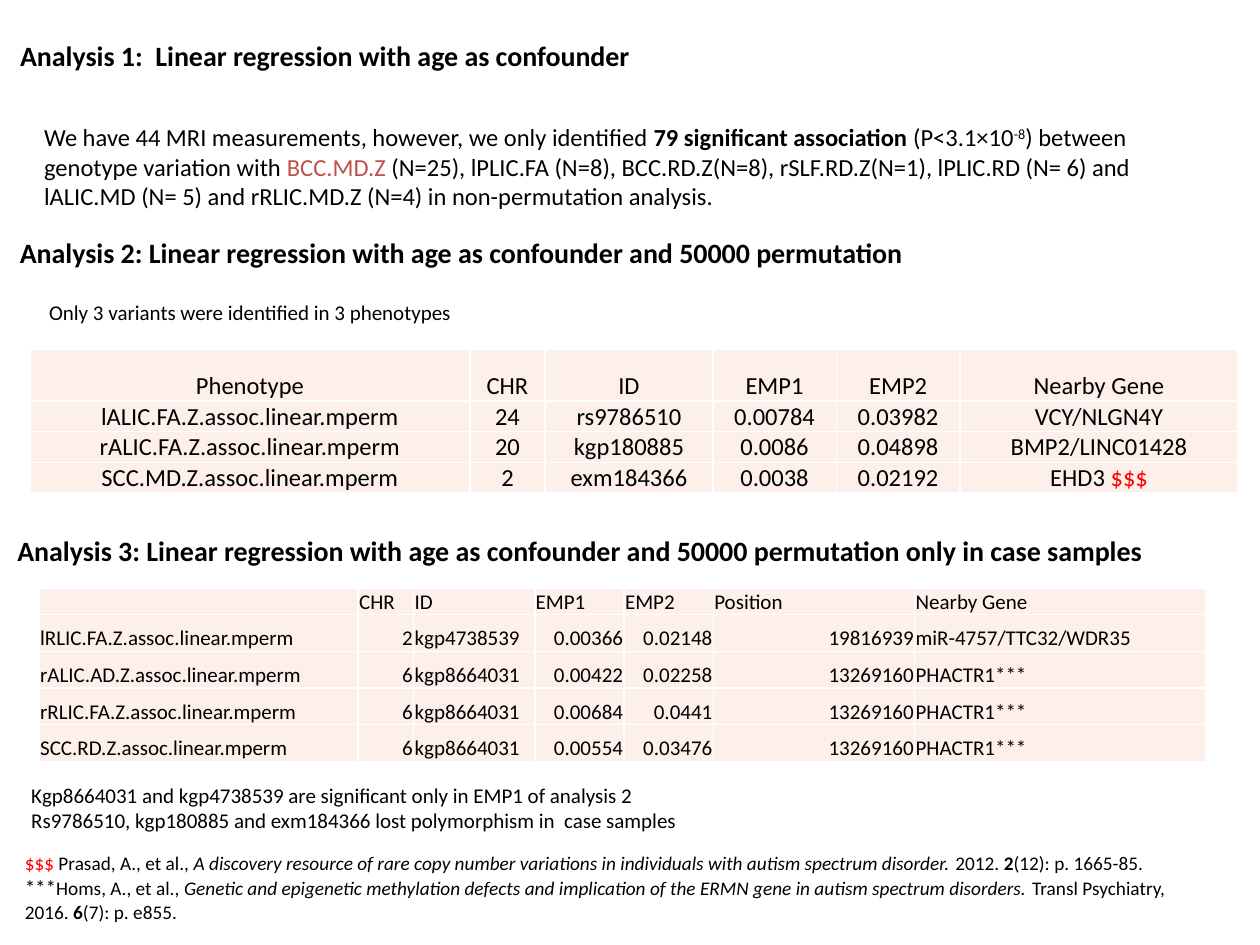
from lxml import etree
from pptx import Presentation
from pptx.dml.color import RGBColor
from pptx.enum.text import MSO_ANCHOR, MSO_AUTO_SIZE, PP_ALIGN
from pptx.oxml.ns import qn
from pptx.util import Cm, Pt

LEFT, CENTER, RIGHT = PP_ALIGN.LEFT, PP_ALIGN.CENTER, PP_ALIGN.RIGHT
TOP, BOTTOM = MSO_ANCHOR.TOP, MSO_ANCHOR.BOTTOM
FIT_SHAPE = MSO_AUTO_SIZE.SHAPE_TO_FIT_TEXT

FONT = "Calibri"
COLORS = {
    "text": "000000",
    "phenotype": "C0504D",
    "mark": "FF0000",
    "cell": "FDEFE9",
    "border": "FFFFFF",
}
TITLE_ONLY = 5


def write(frame, paragraphs, size=12, align=LEFT, bold=False):
    """Each paragraph is a string or a list of (text, format) runs."""
    for i, runs in enumerate(paragraphs):
        paragraph = frame.paragraphs[0] if i == 0 else frame.add_paragraph()
        paragraph.alignment = align
        if not runs:
            etree.SubElement(paragraph._p, qn("a:endParaRPr"), sz=str(size * 100))
            continue
        for text, style in [(runs, {})] if isinstance(runs, str) else runs:
            run = paragraph.add_run()
            run.text = text
            run.font.name = FONT
            run.font.size = Pt(style.get("size", size))
            run.font.bold = style.get("bold", bold)
            run.font.italic = style.get("italic", False)
            run.font.color.rgb = RGBColor.from_string(COLORS[style.get("color", "text")])
            if style.get("superscript"):
                run._r.get_or_add_rPr().set("baseline", "30000")


def add_text(slide, box, paragraphs, wrap=True, **style):
    frame = slide.shapes.add_textbox(*(Cm(v) for v in box)).text_frame
    frame.word_wrap = wrap
    frame.auto_size = FIT_SHAPE
    write(frame, paragraphs, **style)


def add_heading(slide, box, text, wrap=False):
    add_text(slide, box, [text], wrap=wrap, size=16, bold=True)


def add_borders(cell):
    props = cell._tc.get_or_add_tcPr()
    for i, side in enumerate(("a:lnL", "a:lnR", "a:lnT", "a:lnB")):
        line = etree.Element(qn(side), w=str(Pt(1)))
        fill = etree.SubElement(line, qn("a:solidFill"))
        etree.SubElement(fill, qn("a:srgbClr"), val=COLORS["border"])
        props.insert(i, line)


def add_grid(slide, left, top, columns, header_height, row_height, rows, size, aligns):
    """The header row keeps the alignment of the first column."""
    height = header_height + row_height * (len(rows) - 1)
    table = slide.shapes.add_table(
        len(rows), len(columns), Cm(left), Cm(top), Cm(sum(columns)), Cm(height)
    ).table
    table.first_row = table.horz_banding = False
    for column, width in zip(table.columns, columns):
        column.width = Cm(width)
    for r, values in enumerate(rows):
        table.rows[r].height = Cm(row_height if r else header_height)
        for c, value in enumerate(values):
            cell = table.cell(r, c)
            cell.margin_left = cell.margin_right = cell.margin_top = Cm(0.02)
            cell.margin_bottom = 0
            cell.vertical_anchor = BOTTOM
            cell.fill.solid()
            cell.fill.fore_color.rgb = RGBColor.from_string(COLORS["cell"])
            add_borders(cell)
            write(cell.text_frame, [value], size=size, align=aligns[c if r else 0])


def confounder_analysis(slide, left, top):
    # Title
    title = slide.shapes.title
    title.left, title.top, title.width, title.height = (
        Cm(v) for v in (left, top, 13.11, 0.94))
    frame = title.text_frame
    frame.word_wrap = False
    frame.auto_size = FIT_SHAPE
    frame.vertical_anchor = TOP
    write(frame, ["Analysis 1:  Linear regression with age as confounder"], size=16, bold=True)
    # Findings
    add_text(slide, (left + 0.49, top + 1.7, 22.66, 2.06), [[
        ("We have 44 MRI measurements, however, we only identified ", {}),
        ("79 significant association ", {"bold": True}),
        ("(P<3.1×10", {}),
        ("-8", {"superscript": True}),
        (") between genotype variation with ", {}),
        ("BCC.MD.Z", {"color": "phenotype"}),
        (" (N=25), lPLIC.FA (N=8), BCC.RD.Z(N=8), rSLF.RD.Z(N=1), lPLIC.RD (N= 6) and  "
         "lALIC.MD (N= 5) and rRLIC.MD.Z (N=4) in non-permutation analysis.", {}),
    ]], size=14)


def permutation_analysis(slide, left, top):
    add_heading(slide, (left, top, 18.67, 0.94),
                "Analysis 2: Linear regression with age as confounder and 50000 permutation")
    add_text(slide, (left + 0.59, top + 1.3, 12.7, 0.76),
             ["Only 3 variants were identified in 3 phenotypes"])
    # Variants
    gene_with_mark = [("EHD3 ", {}), ("$$$", {"color": "mark"})]
    rows = [
        ("Phenotype", "CHR", "ID", "EMP1", "EMP2", "Nearby Gene"),
        ("lALIC.FA.Z.assoc.linear.mperm", "24", "rs9786510", "0.00784", "0.03982", "VCY/NLGN4Y"),
        ("rALIC.FA.Z.assoc.linear.mperm", "20", "kgp180885", "0.0086", "0.04898", "BMP2/LINC01428"),
        ("SCC.MD.Z.assoc.linear.mperm", "2", "exm184366", "0.0038", "0.02192", gene_with_mark),
    ]
    add_grid(slide, left + 0.46, top + 2.42, (8.86, 1.52, 3.38, 2.49, 2.49, 5.61),
             1.04, 0.62, rows, 14, [CENTER] * 6)


def case_analysis(slide, left, top):
    add_heading(slide, (left, top, 28.42, 0.94),
                "Analysis 3: Linear regression with age as confounder and 50000 permutation "
                "only in case samples", wrap=True)
    # Variants in case samples
    shared = ("13269160", "PHACTR1***")
    rows = [
        ("", "CHR", "ID", "EMP1", "EMP2", "Position", "Nearby Gene"),
        ("lRLIC.FA.Z.assoc.linear.mperm", "2", "kgp4738539", "0.00366", "0.02148",
         "19816939", "miR-4757/TTC32/WDR35"),
        ("rALIC.AD.Z.assoc.linear.mperm", "6", "kgp8664031", "0.00422", "0.02258", *shared),
        ("rRLIC.FA.Z.assoc.linear.mperm", "6", "kgp8664031", "0.00684", "0.0441", *shared),
        ("SCC.RD.Z.assoc.linear.mperm", "6", "kgp8664031", "0.00554", "0.03476", *shared),
    ]
    add_grid(slide, left + 0.69, top + 1.22, (6.43, 1.12, 2.44, 1.8, 1.8, 4.06, 5.87),
             0.53, 0.74, rows, 12, [LEFT, RIGHT, LEFT, RIGHT, RIGHT, RIGHT, LEFT])
    # Remarks
    add_text(slide, (left + 0.28, top + 5.01, 13.72, 1.27), [
        "Kgp8664031 and kgp4738539 are significant only in EMP1 of analysis 2",
        "Rs9786510, kgp180885 and exm184366 lost polymorphism in  case samples",
    ], wrap=False)


def references(slide, left, top):
    italic, bold = {"italic": True}, {"bold": True}
    add_text(slide, (left, top, 24.13, 1.7), [
        [("$$$", {"color": "mark"}),
         (" Prasad, A., et al., ", {}),
         ("A discovery resource of rare copy number variations in individuals with "
          "autism spectrum disorder.", italic),
         (" 2012. ", {}), ("2", bold), ("(12): p. 1665-85.", {})],
        [("***", {"size": 12}),
         ("Homs, A., et al., ", {}),
         ("Genetic and epigenetic methylation defects and implication of the ERMN gene "
          "in autism spectrum disorders. ", italic),
         ("Transl Psychiatry, 2016. ", {}), ("6", bold), ("(7): p. e855.", {})],
    ], size=11)


def main():
    deck = Presentation()
    deck.slide_width, deck.slide_height = Cm(25.4), Cm(19.05)
    slide = deck.slides.add_slide(deck.slide_layouts[TITLE_ONLY])
    confounder_analysis(slide, 0.15, 0.64)
    permutation_analysis(slide, 0.15, 4.62)
    case_analysis(slide, 0.1, 10.64)
    references(slide, 0.25, 17.04)
    deck.save("out.pptx")


if __name__ == "__main__":
    main()
